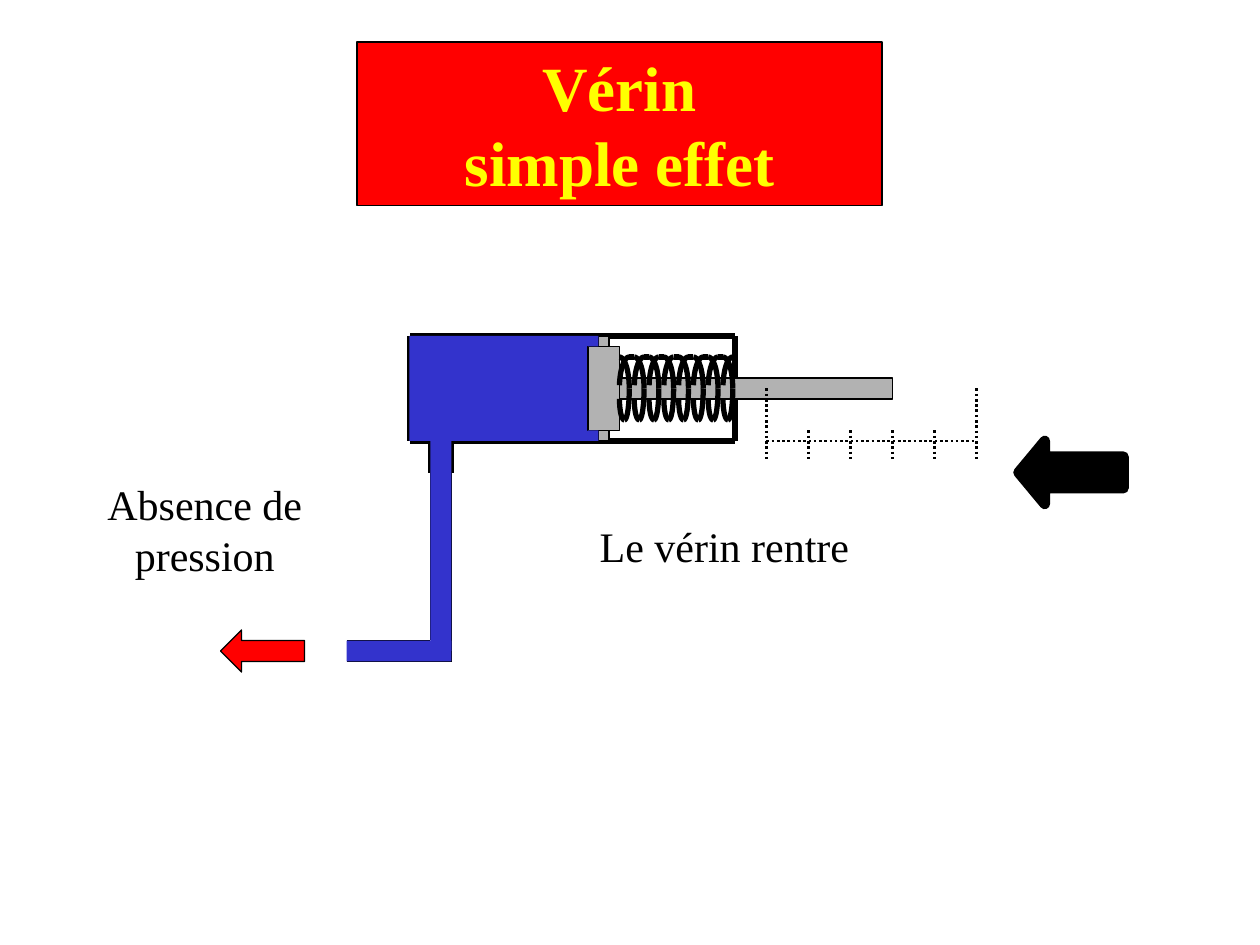
"""Build the slide on a single-acting cylinder whose rod retracts."""
import math
from lxml import etree
from pptx import Presentation
from pptx.dml.color import RGBColor
from pptx.enum.dml import MSO_LINE
from pptx.enum.shapes import MSO_CONNECTOR, MSO_SHAPE
from pptx.enum.text import MSO_ANCHOR, MSO_AUTO_SIZE, PP_ALIGN
from pptx.oxml.ns import qn
from pptx.util import Pt

RECTANGLE = MSO_SHAPE.RECTANGLE
LEFT_ARROW = MSO_SHAPE.LEFT_ARROW
STRAIGHT = MSO_CONNECTOR.STRAIGHT
DOTTED = MSO_LINE.ROUND_DOT
CENTER = PP_ALIGN.CENTER
TOP = MSO_ANCHOR.TOP
NO_AUTOFIT = MSO_AUTO_SIZE.NONE

FONT = "Times New Roman"
COLORS = {name: RGBColor.from_string(value) for name, value in {
    "black": "000000",
    "red": "FF0000",
    "yellow": "FFFF00",
    "fluid": "3333CC",
    "metal": "B2B2B2",
}.items()}


def write_text(box, text, size, color="black", bold=False, space_before=15):
    frame = box.text_frame
    frame.word_wrap = True
    frame.auto_size = NO_AUTOFIT
    frame.vertical_anchor = TOP
    para = frame.paragraphs[0]
    para.alignment = CENTER
    para.space_before = Pt(space_before)
    para.text = text
    for span in para.runs:
        span.font.name = FONT
        span.font.size = Pt(size)
        span.font.bold = bold
        span.font.color.rgb = COLORS[color]


def draw_line(shapes, x1, y1, x2, y2, width=3, dash=None):
    line = shapes.add_connector(STRAIGHT, Pt(x1), Pt(y1), Pt(x2), Pt(y2))
    line.line.color.rgb = COLORS["black"]
    line.line.width = Pt(width)
    if dash:
        line.line.dash_style = dash
    etree.SubElement(line._element.spPr, qn("a:effectLst"))


deck = Presentation()
deck.slide_width, deck.slide_height = Pt(720), Pt(540)
page = deck.slides.add_slide(deck.slide_layouts[5])

title = page.shapes.title
title.left, title.top, title.width, title.height = Pt(204), Pt(24), Pt(300), Pt(93.6)
title.fill.solid()
title.fill.fore_color.rgb = COLORS["red"]
title.line.color.rgb = COLORS["black"]
title.line.width = Pt(0.75)
write_text(title, "Vérin\vsimple effet", size=36, color="yellow", bold=True, space_before=22.5)

cylinder_walls = [
    (258, 252, 420, 252),
    (258, 252, 258, 270),
    (246, 252, 246, 270),
    (420, 192, 234, 192),
    (234, 192, 234, 252),
    (234, 252, 246, 252),
]
for wall in cylinder_walls:
    draw_line(page.shapes, *wall)

pipe_walls = [
    (246, 270, 246, 366),
    (258, 270, 258, 378),
    (246, 366, 198, 366),
    (258, 378, 198, 378),
]
for wall in pipe_walls:
    draw_line(page.shapes, *wall, width=0.75)

piston = page.shapes.add_group_shape()
parts = [
    (page, LEFT_ARROW, 126, 360, 48, 24, "red", 0.75),
    (page, RECTANGLE, 198, 366, 60, 12, "fluid", 0),
    (page, RECTANGLE, 246, 252, 12, 120, "fluid", 0),
    (page, RECTANGLE, 234, 192, 102, 60, "fluid", 0),
    (piston, RECTANGLE, 336, 198, 18, 48, "metal", 0.75),
    (piston, RECTANGLE, 342, 192, 6, 6, "metal", 0.75),
    (piston, RECTANGLE, 342, 246, 6, 6, "metal", 0.75),
    (piston, RECTANGLE, 354, 216, 156, 12, "metal", 0.75),
    (piston, RECTANGLE, 336, 246, 6, 6, "fluid", 0),
    (piston, RECTANGLE, 336, 192, 6, 6, "fluid", 0),
    (page, LEFT_ARROW, 582, 252, 60, 36, "black", 6),
]
for parent, kind, left, top, width, height, color, outline in parts:
    part = parent.shapes.add_shape(kind, Pt(left), Pt(top), Pt(width), Pt(height))
    part.shadow.inherit = False
    part.fill.solid()
    part.fill.fore_color.rgb = COLORS[color]
    if outline:
        part.line.color.rgb = COLORS["black"]
        part.line.width = Pt(outline)
    else:
        part.line.fill.background()
part.adjustments[1] = 0.417

page.shapes._spTree.remove(piston._element)
page.shapes._spTree.append(piston._element)
draw_line(page.shapes, 420, 252, 420, 192)
page.shapes._spTree.remove(piston._element)
page.shapes._spTree.append(piston._element)

spring = page.shapes.add_group_shape()
COILS, PITCH, COIL_WIDTH, STEPS = 8, 8.45, 5.6, 12
coil_arcs = [
    (0, 222, COIL_WIDTH, 18, -90, 0),
    (COIL_WIDTH / 2, 222, COIL_WIDTH / 2, 18, 90, 0),
    (COIL_WIDTH / 2, 228, COIL_WIDTH / 2, 12, 90, 180),
    (COIL_WIDTH, 222, COIL_WIDTH, 18, 270, 186),
]
for coil in range(COILS):
    coil_left = 354 + coil * PITCH
    for center_x, center_y, radius_x, radius_y, start, end in coil_arcs:
        angles = [math.radians(start + (end - start) * step / STEPS) for step in range(STEPS + 1)]
        points = [(Pt(coil_left + center_x + radius_x * math.cos(angle)),
                   Pt(center_y + radius_y * math.sin(angle))) for angle in angles]
        builder = spring.shapes.build_freeform(*points[0])
        builder.add_line_segments(points[1:], close=False)
        arc = builder.convert_to_shape()
        arc.shadow.inherit = False
        arc.fill.background()
        arc.line.color.rgb = COLORS["black"]
        arc.line.width = Pt(3)
    if coil < COILS - 1:
        draw_line(spring.shapes, coil_left + COIL_WIDTH, 204, coil_left + PITCH, 204)

draw_line(page.shapes, 438, 252, 558, 252, width=1.5, dash=DOTTED)
for x in range(438, 559, 24):
    tick_top = 222 if x in (438, 558) else 246
    draw_line(page.shapes, x, tick_top, x, 264, width=1.5, dash=DOTTED)

captions = [
    ("Absence de pression", 54, 270, 126, 64.8),
    ("Le vérin rentre", 288, 294, 252, 36),
]
for text, left, top, width, height in captions:
    caption = page.shapes.add_textbox(Pt(left), Pt(top), Pt(width), Pt(height))
    write_text(caption, text, size=24)

deck.save("out.pptx")
